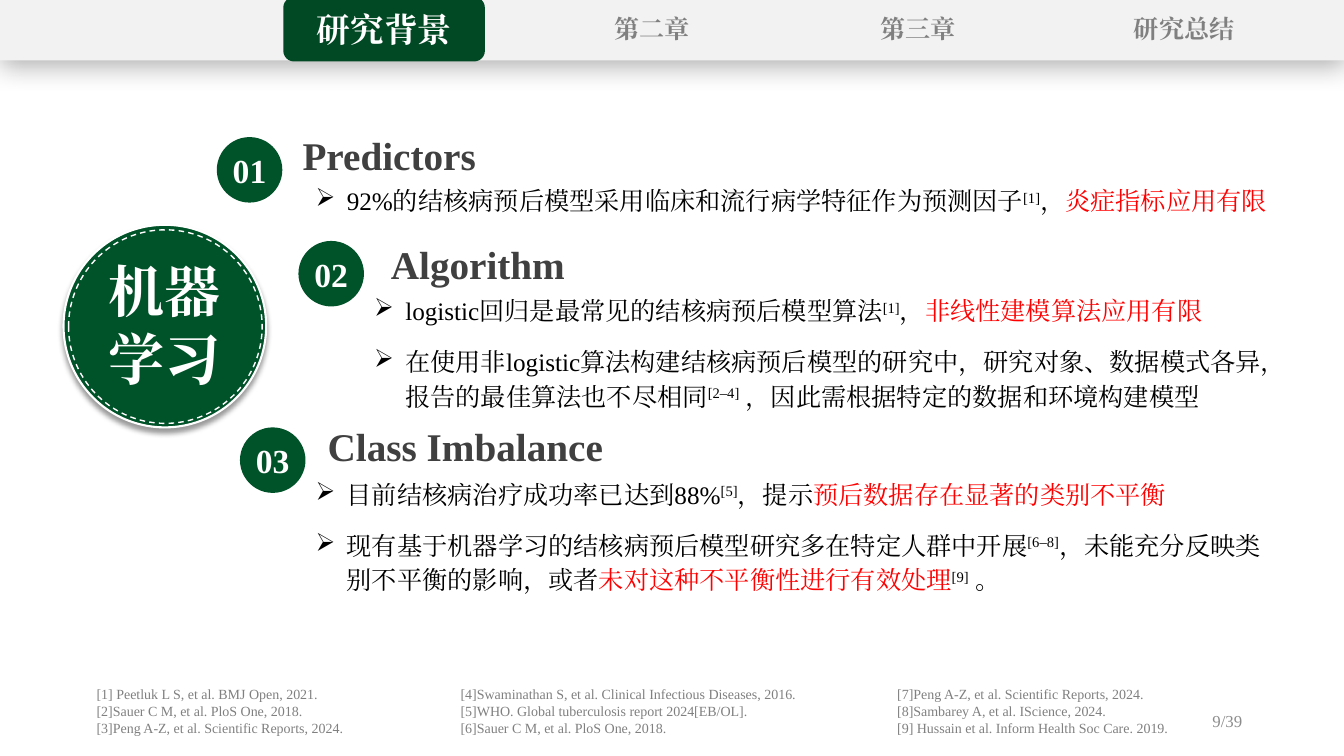
from dataclasses import dataclass
from typing import Optional

import pptx
import pptx.dml.color
import pptx.enum.dml
import pptx.enum.shapes
import pptx.enum.text
import pptx.oxml
import pptx.oxml.ns
import pptx.util
from pptx.util import Inches

ALIGN = pptx.enum.text.PP_ALIGN
ANCHOR = pptx.enum.text.MSO_ANCHOR
SHAPE = pptx.enum.shapes.MSO_SHAPE


@dataclass(frozen=True)
class Theme:
    font: str = "Times New Roman"
    green: str = "005229"
    tab_green: str = "014924"
    bar: str = "F2F2F2"
    white: str = "FFFFFF"
    black: str = "000000"
    red: str = "FF0000"
    heading: str = "404040"
    grey: str = "808080"
    page_grey: str = "8C8C8C"
    badge_size: int = 40
    heading_size: int = 28
    number_size: int = 24
    body_size: int = 18
    page_size: int = 12
    reference_size: int = 10


THEME = Theme()


@dataclass(frozen=True)
class Box:
    left: float
    top: float
    width: float
    height: float


@dataclass(frozen=True)
class Style:
    size: int
    color: str
    bold: bool = False
    align: ALIGN = ALIGN.LEFT
    anchor: ANCHOR = ANCHOR.TOP
    inset: float = 0.1
    wrap: bool = True


@dataclass(frozen=True)
class Span:
    text: str
    color: str = THEME.black
    raised: bool = False


@dataclass(frozen=True)
class Shadow:
    opacity: int
    blur: int
    distance: int


@dataclass(frozen=True)
class Section:
    number: str
    circle: tuple[float, float]
    heading: str
    heading_box: Box
    body_box: Box
    bullets: list[list[Span]]
    line_spacing: float = 1.14


def cite(text: str) -> Span:
    return Span(text, raised=True)


def red(text: str) -> Span:
    return Span(text, THEME.red)


SECTIONS = [
    Section("01", (2.15, 1.36), "Predictors", Box(2.8, 1.3, 2.12, 0.47), Box(3.13, 1.84, 10.1, 0.3), [
        [Span("92%的结核病预后模型采用临床和流行病学特征作为预测因子"), cite("[1]"), Span("，"),
         red("炎症指标应用有限")],
    ], 1.0),
    Section("02", (2.96, 2.39), "Algorithm", Box(3.61, 2.38, 2.26, 0.47), Box(3.71, 2.89, 9.22, 1.18), [
        [Span("logistic回归是最常见的结核病预后模型算法"), cite("[1]"), Span("，"),
         red("非线性建模算法应用有限")],
        [Span("在使用非logistic算法构建结核病预后模型的研究中，研究对象、数据模式各异，报告的最佳算法也不尽相同"),
         cite("[2–4]"), Span(" ，因此需根据特定的数据和环境构建模型")],
    ]),
    Section("03", (2.38, 4.24), "Class Imbalance", Box(3.02, 4.19, 3.19, 0.47), Box(3.13, 4.71, 9.44, 1.18), [
        [Span("目前结核病治疗成功率已达到88%"), cite("[5]"), Span("，提示"),
         red("预后数据存在显著的类别不平衡")],
        [Span("现有基于机器学习的结核病预后模型研究多在特定人群中开展"), cite("[6–8]"),
         Span("，未能充分反映类别不平衡的影响，或者"), red("未对这种不平衡性进行有效处理"),
         cite("[9]"), Span(" 。")],
    ]),
]

REFERENCES = {
    0.86: "[1] Peetluk L S, et al. BMJ Open, 2021.\n[2]Sauer C M, et al. PloS One, 2018.\n"
          "[3]Peng A-Z, et al. Scientific Reports, 2024.",
    4.47: "[4]Swaminathan S, et al. Clinical Infectious Diseases, 2016.\n"
          "[5]WHO. Global tuberculosis report 2024[EB/OL].\n[6]Sauer C M, et al. PloS One, 2018.",
    8.8: "[7]Peng A-Z, et al. Scientific Reports, 2024.\n[8]Sambarey A, et al. IScience, 2024.\n"
         "[9] Hussain et al. Inform Health Soc Care. 2019.",
}


def rgb(color: str) -> pptx.dml.color.RGBColor:
    return pptx.dml.color.RGBColor.from_string(color)


def element(xml: str):
    namespace = pptx.oxml.ns.nsdecls("a")
    return pptx.oxml.parse_xml(xml.replace("NS", namespace, 1))


def format_run(run, size: int, color: str, bold: bool = False, raised: bool = False) -> None:
    run.font.name = THEME.font
    run.font.size = pptx.util.Pt(size)
    run.font.bold = bold
    run.font.color.rgb = rgb(color)
    properties = run._r.get_or_add_rPr()
    properties.append(element(f'<a:ea NS typeface="{THEME.font}"/>'))
    if raised:
        properties.set("baseline", "30000")


def write(shape, text: str, style: Style) -> None:
    frame = shape.text_frame
    frame.text = text
    frame.word_wrap = style.wrap
    frame.vertical_anchor = style.anchor
    frame.margin_left = frame.margin_right = Inches(style.inset)
    for paragraph in frame.paragraphs:
        paragraph.alignment = style.align
        for run in paragraph.runs:
            format_run(run, style.size, style.color, style.bold)


def add_text(slide, box: Box, text: str, style: Style) -> None:
    write(slide.shapes.add_textbox(*map(Inches, (box.left, box.top, box.width, box.height))), text, style)


def add_shape(slide, kind: SHAPE, box: Box, fill: Optional[str], shadow: Optional[Shadow] = None,
              line_width: float = 0):
    shape = slide.shapes.add_shape(kind, *map(Inches, (box.left, box.top, box.width, box.height)))
    shape.shadow.inherit = False
    if fill:
        shape.fill.solid()
        shape.fill.fore_color.rgb = rgb(fill)
    else:
        shape.fill.background()
    if line_width:
        shape.line.color.rgb = rgb(THEME.white)
        shape.line.width = pptx.util.Pt(line_width)
    else:
        shape.line.fill.background()
    if shadow:
        effects = shape._element.spPr.find(pptx.oxml.ns.qn("a:effectLst"))
        effects.append(element(
            f'<a:outerShdw NS blurRad="{pptx.util.Pt(shadow.blur)}" dist="{pptx.util.Pt(shadow.distance)}" '
            f'dir="5400000" algn="ctr" rotWithShape="0"><a:srgbClr val="{THEME.black}">'
            f'<a:alpha val="{shadow.opacity * 1000}"/></a:srgbClr></a:outerShdw>'))
    return shape


def add_bullets(slide, section: Section) -> None:
    box = section.body_box
    frame = slide.shapes.add_textbox(*map(Inches, (box.left, box.top, box.width, box.height))).text_frame
    frame.word_wrap = True
    frame.margin_left = frame.margin_right = frame.margin_top = frame.margin_bottom = 0
    for index, spans in enumerate(section.bullets):
        paragraph = frame.add_paragraph() if index else frame.paragraphs[0]
        properties = paragraph._p.get_or_add_pPr()
        properties.set("marL", str(Inches(0.31)))
        properties.set("indent", str(-Inches(0.31)))
        properties.append(element('<a:buChar NS char="➢"/>'))
        paragraph.line_spacing = section.line_spacing
        paragraph.space_after = pptx.util.Pt(12)
        for span in spans:
            run = paragraph.add_run()
            run.text = span.text
            format_run(run, THEME.body_size, span.color, raised=span.raised)


def add_section(slide, section: Section) -> None:
    circle = add_shape(slide, SHAPE.OVAL, Box(*section.circle, 0.65, 0.65), THEME.green)
    write(circle, section.number,
          Style(THEME.number_size, THEME.white, True, ALIGN.CENTER, ANCHOR.MIDDLE, 0))
    add_text(slide, section.heading_box, section.heading,
             Style(THEME.heading_size, THEME.heading, True, ALIGN.CENTER, ANCHOR.MIDDLE))
    add_bullets(slide, section)


def add_navigation(slide) -> None:
    add_shape(slide, SHAPE.RECTANGLE, Box(0, 0, 13.33, 0.6), THEME.bar, Shadow(29, 18, 4))
    active = add_shape(slide, SHAPE.ROUNDED_RECTANGLE, Box(2.81, -0.03, 2, 0.64), THEME.tab_green)
    write(active, "研究背景", Style(THEME.number_size, THEME.white, True, ALIGN.CENTER, ANCHOR.MIDDLE, 0))
    for index, label in enumerate(["第二章", "第三章", "研究总结"]):
        add_text(slide, Box(5.46 + 2.64 * index, 0.08, 2.01, 0.41), label,
                 Style(THEME.body_size, THEME.grey, True, ALIGN.CENTER, inset=0))


def add_badge(slide) -> None:
    add_shape(slide, SHAPE.OVAL, Box(0.63, 2.23, 2.01, 2.01), THEME.green, Shadow(40, 4, 3), 1.5)
    ring = add_shape(slide, SHAPE.OVAL, Box(0.68, 2.28, 1.92, 1.92), None, line_width=1)
    ring.line.dash_style = pptx.enum.dml.MSO_LINE.DASH
    add_text(slide, Box(0.98, 2.5, 1.32, 1.45), "机器\n学习",
             Style(THEME.badge_size, THEME.white, True, wrap=False))


def main() -> None:
    presentation = pptx.Presentation()
    presentation.slide_width, presentation.slide_height = Inches(13.33), Inches(7.5)
    slide = presentation.slides.add_slide(presentation.slide_layouts[6])
    add_navigation(slide)
    add_badge(slide)
    for section in SECTIONS:
        add_section(slide, section)
    for left, text in REFERENCES.items():
        add_text(slide, Box(left, 6.75, 3.94, 0.61), text, Style(THEME.reference_size, THEME.grey))
    add_text(slide, Box(9.42, 6.95, 3, 0.4), "9/39",
             Style(THEME.page_size, THEME.page_grey, align=ALIGN.RIGHT, anchor=ANCHOR.MIDDLE))
    presentation.save("out.pptx")


if __name__ == "__main__":
    main()
